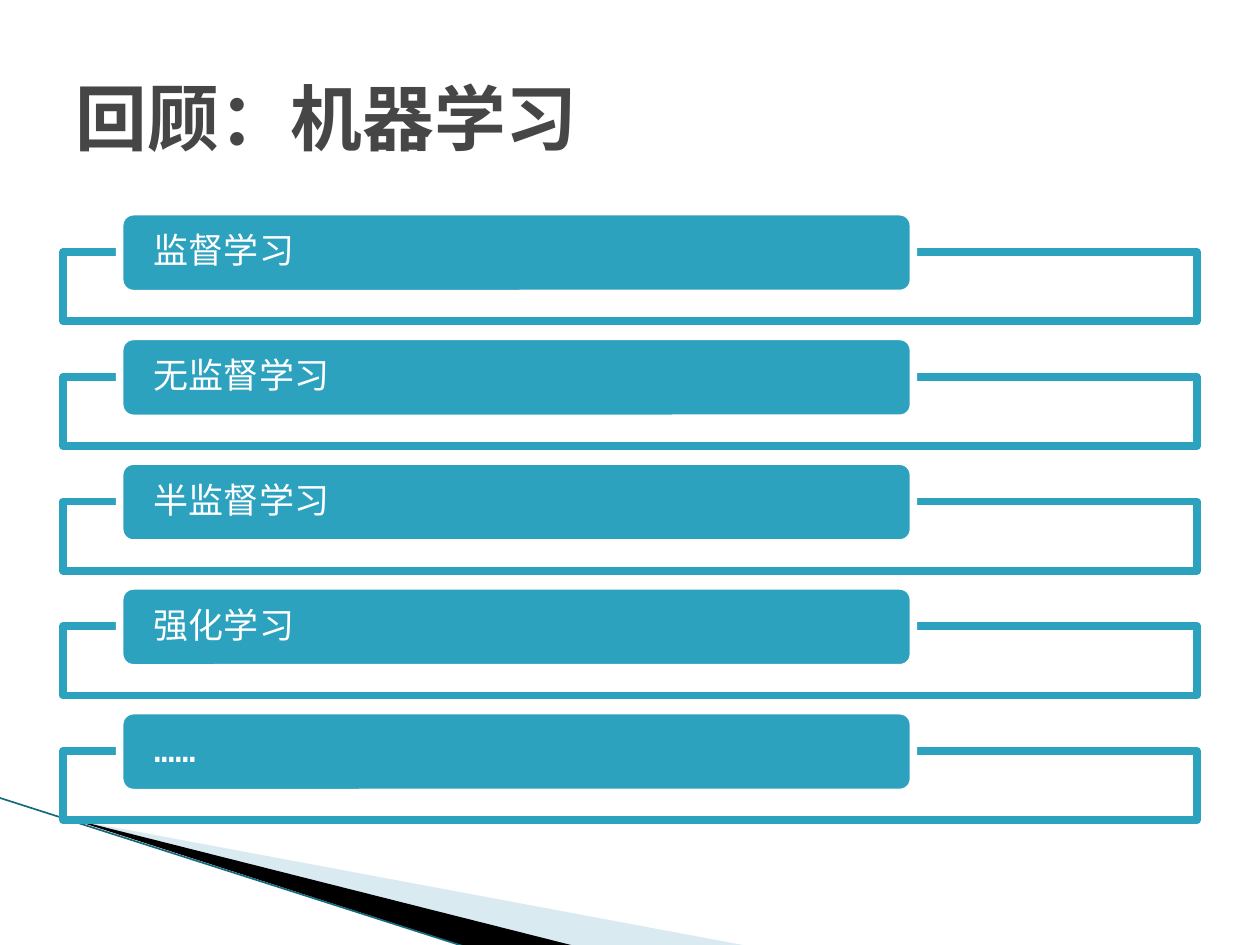
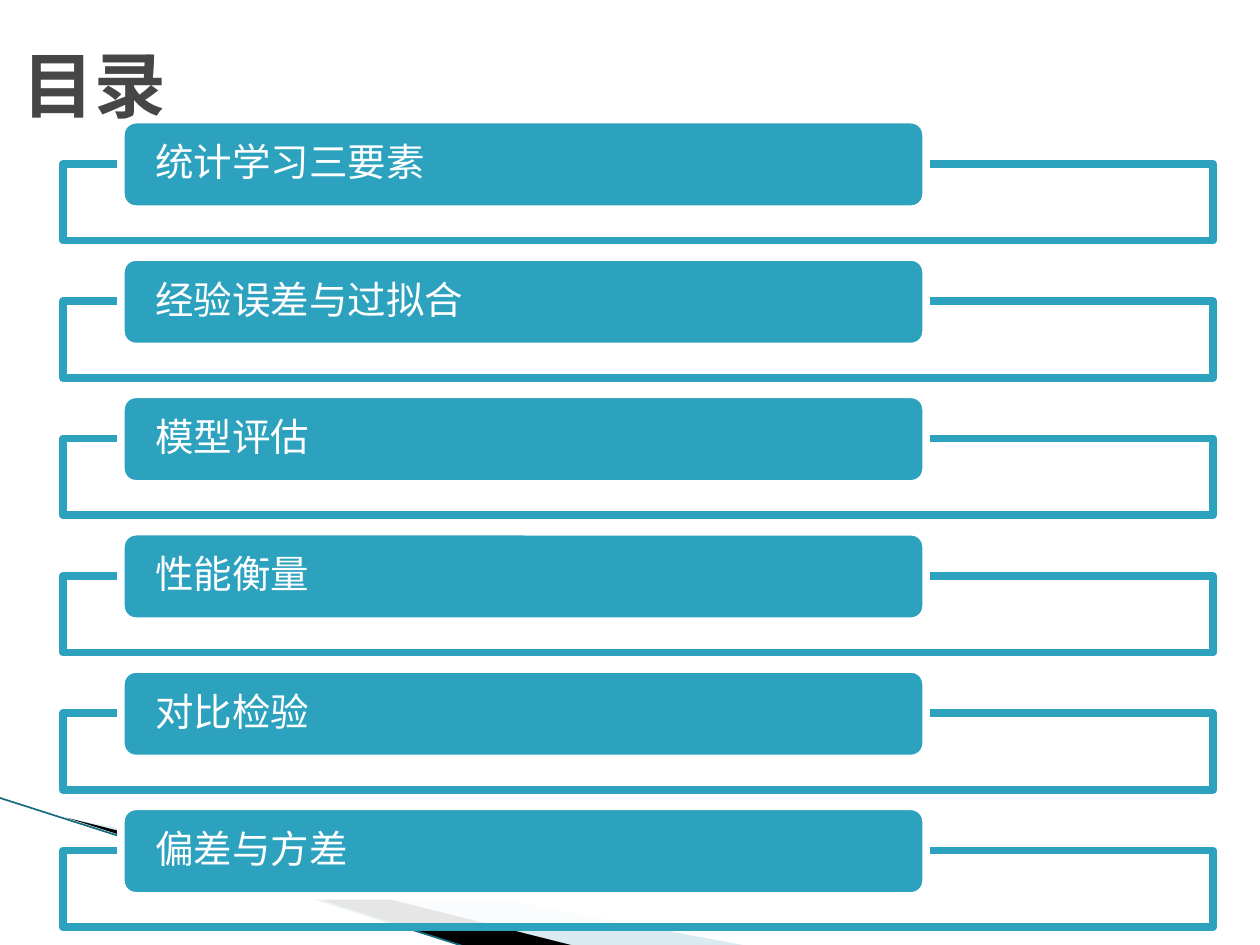
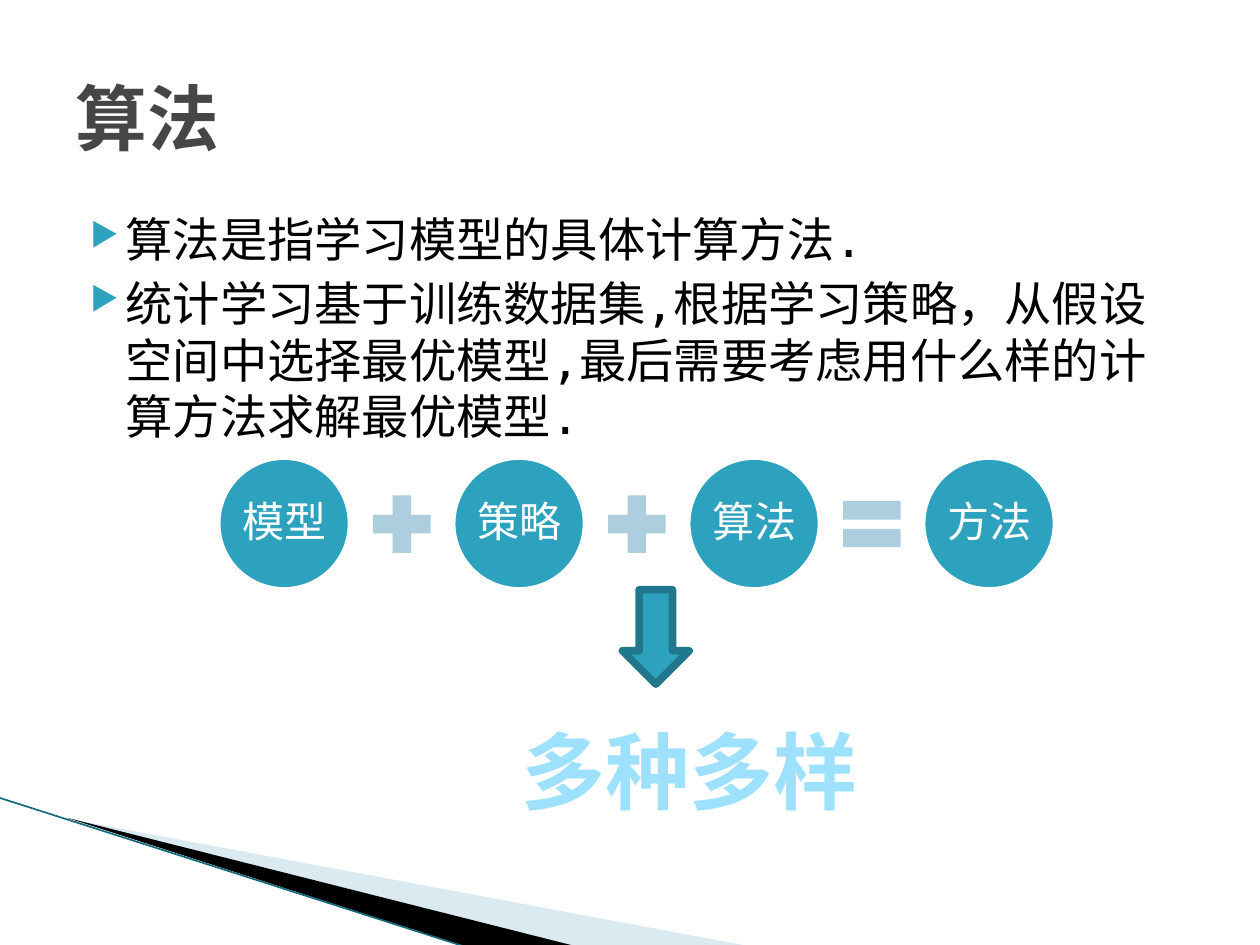
"""Build three slides on machine learning: review, contents and algorithm."""
from lxml import etree
from pptx import Presentation
from pptx import util as u
from pptx.dml.color import RGBColor
from pptx.enum import shapes, text
from pptx.oxml.ns import qn

TEAL = RGBColor(0x2D, 0xA2, 0xBF)
DARK_TEAL = RGBColor(0x21, 0x78, 0x8D)
BAND_EDGE = RGBColor(0x14, 0x6B, 0x80)
BAND_TINT = RGBColor(0xA0, 0xCB, 0xDC)
OPERATOR = RGBColor(0xAD, 0xCE, 0xDC)
SKY = RGBColor(0x9D, 0xE1, 0xFF)
GREY = RGBColor(0x46, 0x46, 0x46)
WHITE = RGBColor(0xFF, 0xFF, 0xFF)
BLACK = RGBColor(0, 0, 0)

MONO = "DejaVu Sans Mono"
SANS = "Noto Sans CJK SC"
OUTLINE = 4.33
Inches = u.Inches


def style_text(paragraph, size, color, font=MONO, bold=False):
    """Give every run of a paragraph its font for Latin and Chinese text."""
    for run in paragraph.runs:
        run.font.name = font
        run.font.size = u.Pt(size)
        run.font.bold = bold
        run.font.color.rgb = color
        east_asian = etree.SubElement(run.font._element, qn("a:ea"))
        east_asian.set("typeface", font)


def paint(shape, fill, line=None, opacity=None):
    """Set the fill, the outline and optionally the opacity in percent."""
    shape.shadow.inherit = False
    shape.fill.solid()
    shape.fill.fore_color.rgb = fill
    if opacity is not None:
        color = shape.element.find(".//" + qn("a:srgbClr"))
        etree.SubElement(color, qn("a:alpha")).set("val", str(opacity * 1000))
    if line is None:
        shape.line.fill.background()
    else:
        shape.line.color.rgb = line
        shape.line.width = u.Pt(OUTLINE)
    return shape


def add_preset(slide, kind, box, fill, line=None, opacity=None):
    """Add a painted preset shape; box is left, top, width, height in inches."""
    shape = slide.shapes.add_shape(kind, *map(Inches, box))
    return paint(shape, fill, line, opacity)


def label(shape, caption, size, margin, align, font=MONO):
    """Write a white caption inside a shape."""
    frame = shape.text_frame
    frame.text = caption
    frame.word_wrap = True
    frame.vertical_anchor = text.MSO_ANCHOR.MIDDLE
    frame.margin_left = frame.margin_right = Inches(margin)
    frame.margin_top = frame.margin_bottom = 0
    paragraph = frame.paragraphs[0]
    paragraph.alignment = align
    paragraph.line_spacing = 0.9
    style_text(paragraph, size, WHITE, font)


def add_wedge(slide, points, fill, opacity=None):
    """Add a closed polygon through points given in inches."""
    corners = [(Inches(x), Inches(y)) for x, y in points]
    builder = slide.shapes.build_freeform(*corners[0])
    builder.add_line_segments(corners[1:], close=True)
    return paint(builder.convert_to_shape(), fill, opacity=opacity)


def add_corner_bands(slide):
    """Draw the corner bands and move them to the layout that slides share."""
    tint = add_wedge(slide, [(0.55, 6.5), (5.95, 7.51), (4.56, 7.51)], BAND_TINT, 40)
    dark = add_wedge(slide, [(0.53, 6.49), (4.57, 7.51), (3.72, 7.52)], BLACK)
    edge = slide.shapes.add_connector(
        shapes.MSO_CONNECTOR.STRAIGHT,
        Inches(-0.01), Inches(6.33), Inches(3.71), Inches(7.52))
    edge.line.color.rgb = BAND_EDGE
    edge.line.width = u.Pt(0.95)
    etree.SubElement(edge.element.spPr, qn("a:effectLst"))
    for band in (tint, dark, edge):
        slide.slide_layout.shapes.element.append(band.element)


def add_titled_slide(deck, heading, left=0.5, top=0.3):
    """Add a title-only slide with its heading placed and styled."""
    slide = deck.slides.add_slide(deck.slide_layouts[5])
    title = slide.shapes.title
    title.left, title.top = Inches(left), Inches(top)
    title.width, title.height = Inches(9), Inches(1.25)
    frame = title.text_frame
    frame.text = heading
    frame.auto_size = text.MSO_AUTO_SIZE.NONE
    frame.vertical_anchor = text.MSO_ANCHOR.MIDDLE
    frame.paragraphs[0].alignment = text.PP_ALIGN.LEFT
    style_text(frame.paragraphs[0], 41, GREY, bold=True)
    return slide


def add_topic_list(slide, topics, top, pitch, frame_size, bar_box, size):
    """Stack topic bars on open frames; bar_box is left, rise, width, height."""
    bar_left, rise, bar_width, bar_height = bar_box
    for row, (topic, font) in enumerate(topics):
        y = top + row * pitch
        add_preset(slide, shapes.MSO_SHAPE.RECTANGLE,
                   (0.5, y, *frame_size), WHITE, TEAL, 90)
        bar = add_preset(slide, shapes.MSO_SHAPE.ROUNDED_RECTANGLE,
                         (bar_left, y - rise, bar_width, bar_height), TEAL, WHITE)
        label(bar, topic, size, 0.24, text.PP_ALIGN.LEFT, font)


def add_bullets(slide, box, points):
    """Add a text box with triangle bullets."""
    frame = slide.shapes.add_textbox(*map(Inches, box)).text_frame
    frame.word_wrap = True
    frame.text = "\n".join(points)
    for paragraph in frame.paragraphs:
        paragraph.space_before = u.Pt(4)
        style_text(paragraph, 27, BLACK)
        props = paragraph._p.get_or_add_pPr()
        props.set("marL", str(Inches(0.4)))
        props.set("indent", str(Inches(-0.28)))
        color = etree.SubElement(props, qn("a:buClr"))
        etree.SubElement(color, qn("a:srgbClr")).set("val", str(TEAL))
        etree.SubElement(props, qn("a:buSzPct")).set("val", "68000")
        etree.SubElement(props, qn("a:buChar")).set("char", "▶")


def add_equation(slide, terms, operators):
    """Draw terms as circles with operator signs between them."""
    left, top, pitch, diameter = 1.72, 3.62, 1.865, 1.07
    for column, term in enumerate(terms):
        circle = add_preset(slide, shapes.MSO_SHAPE.OVAL,
                            (left + column * pitch, top, diameter, diameter), TEAL, WHITE)
        label(circle, term, 24, 0.03, text.PP_ALIGN.CENTER)
    for column, operator in enumerate(operators):
        add_preset(slide, operator,
                   (left + 1.16 + column * pitch, top + 0.23, 0.62, 0.62), OPERATOR)


def add_conclusion(slide, caption):
    """Point down to a large closing caption."""
    add_preset(slide, shapes.MSO_SHAPE.DOWN_ARROW,
               (4.94, 4.68, 0.53, 0.75), TEAL, DARK_TEAL)
    frame = slide.shapes.add_textbox(
        Inches(3.74), Inches(5.66), Inches(3.46), Inches(0.91)).text_frame
    frame.word_wrap = True
    frame.text = caption
    frame.paragraphs[0].alignment = text.PP_ALIGN.CENTER
    style_text(frame.paragraphs[0], 48, SKY, bold=True)


def main():
    """Build the deck and save it."""
    deck = Presentation()
    deck.slide_width, deck.slide_height = Inches(10), Inches(7.5)

    review = add_titled_slide(deck, "回顾：机器学习")
    add_corner_bands(review)
    kinds = ["监督学习", "无监督学习", "半监督学习", "强化学习", "……"]
    add_topic_list(review, [(kind, MONO) for kind in kinds], 2, 0.99,
                   (9, 0.55), (0.95, 0.32, 6.3, 0.65), 20)

    contents = add_titled_slide(deck, "目录", 0.08, 0.04)
    chapters = [("统计学习三要素", MONO), ("经验误差与过拟合", SANS), ("模型评估", MONO),
                ("性能衡量", MONO), ("对比检验", MONO), ("偏差与方差", MONO)]
    add_topic_list(contents, chapters, 1.3, 1.09,
                   (9.13, 0.61), (0.96, 0.35, 6.39, 0.71), 22)

    algorithm = add_titled_slide(deck, "算法")
    add_bullets(algorithm, (0.5, 1.62, 9, 4.95), [
        "算法是指学习模型的具体计算方法.",
        "统计学习基于训练数据集,根据学习策略，从假设空间中选择最优模型,"
        "最后需要考虑用什么样的计算方法求解最优模型.",
    ])
    plus, equal = shapes.MSO_SHAPE.MATH_PLUS, shapes.MSO_SHAPE.MATH_EQUAL
    add_equation(algorithm, ["模型", "策略", "算法", "方法"], [plus, plus, equal])
    add_conclusion(algorithm, "多种多样")

    deck.save("out.pptx")


if __name__ == "__main__":
    main()
